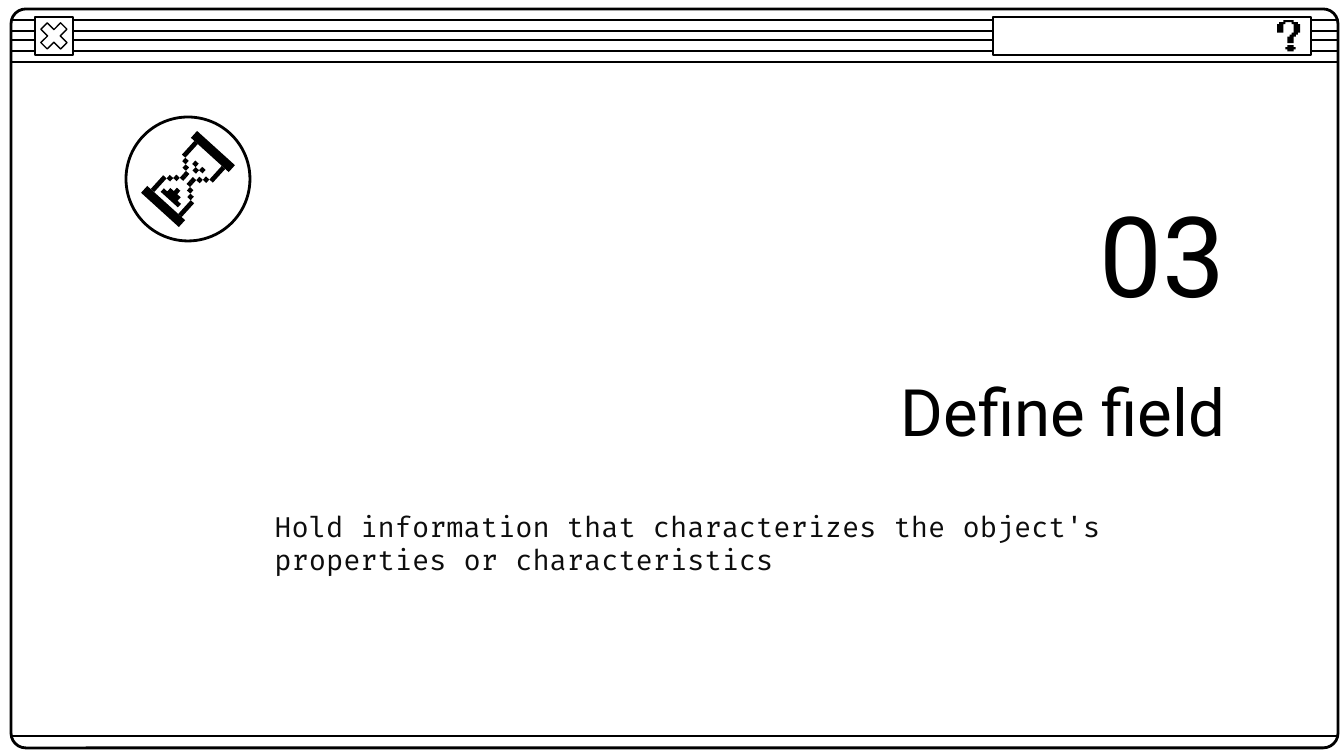
import math
from pptx import Presentation
from pptx import util as u
from pptx.dml.color import RGBColor
from pptx.enum import shapes, text
from pptx.oxml.ns import qn
from lxml import etree

PX = 914400 / 134.4
BLACK, WHITE, INK = "000000", "FFFFFF", "0D0D0D"


def rgb(value):
    return RGBColor.from_string(value)


def pixel_shape(points, origin, cell, fill, angle=0):
    """Draw grid points as an outline, turned about the grid origin."""
    pts = [(x * cell * PX, y * cell * PX) for x, y in points]
    fb = s.shapes.build_freeform(*pts[0], scale=1.0)
    fb.add_line_segments(pts[1:], close=True)
    sp = fb.convert_to_shape()
    xs, ys = zip(*pts)
    cx, cy = (min(xs) + max(xs)) / 2, (min(ys) + max(ys)) / 2
    cos, sin = math.cos(math.radians(angle)), math.sin(math.radians(angle))
    sp.left = round(origin[0] * PX + cx * cos - cy * sin - sp.width / 2)
    sp.top = round(origin[1] * PX + cx * sin + cy * cos - sp.height / 2)
    sp.rotation = angle
    sp.fill.solid()
    sp.fill.fore_color.rgb = rgb(fill)
    sp.line.fill.background()
    sp.shadow.inherit = False


prs = Presentation()
prs.slide_width, prs.slide_height = round(1344 * PX), round(756 * PX)
s = prs.slides.add_slide(prs.slide_layouts[0])

# Title bar stripes and footer rule
for y in (20, 31, 40, 51, 62, 736):
    x1, y1, x2 = (round(v * PX) for v in (11, y, 1337))
    line = s.shapes.add_connector(shapes.MSO_CONNECTOR.STRAIGHT, x1, y1, x2, y1)
    line.line.color.rgb = rgb(BLACK)
    line.line.width = u.Pt(0.75)
    etree.SubElement(line._element.spPr, qn("a:effectLst"))

# Window frame, close button, search box, icon ring
kinds = shapes.MSO_SHAPE
for kind, box, fill, weight, adj in (
    (kinds.ROUNDED_RECTANGLE, (11, 9, 1327, 739), None, 1.5, 0.02),
    (kinds.RECTANGLE, (35, 17, 38, 38), WHITE, 0.75, None),
    (kinds.MATH_MULTIPLY, (35, 17, 38, 38), WHITE, 0.75, 0.235),
    (kinds.RECTANGLE, (993, 17, 318, 38), WHITE, 0.75, None),
    (kinds.OVAL, (126, 117, 124, 124), None, 1.5, None),
):
    sp = s.shapes.add_shape(kind, *(round(v * PX) for v in box))
    if fill:
        sp.fill.solid()
        sp.fill.fore_color.rgb = rgb(fill)
    else:
        sp.fill.background()
    if adj:
        sp.adjustments[0] = adj
    sp.line.color.rgb = rgb(BLACK)
    sp.line.width = u.Pt(weight)
    sp.shadow.inherit = False

# Question mark on a pixel grid: dot, then hook
dot = [(5, 12), (5, 13), (4, 13), (4, 14), (5, 14), (5, 15),
       (8, 15), (8, 14), (9, 14), (9, 13), (8, 13), (8, 12)]
hook = [(3, 0), (3, 1), (1, 1), (1, 2), (0, 2), (0, 6), (3, 6), (3, 2),
        (4, 2), (4, 1), (7, 1), (7, 2), (8, 2), (8, 6), (7, 6), (7, 7),
        (6, 7), (6, 8), (5, 8), (5, 11), (8, 11), (8, 8), (9, 8), (9, 7),
        (10, 7), (10, 6), (11, 6), (11, 2), (10, 2), (10, 1), (8, 1), (8, 0)]
for outline in (dot, hook):
    pixel_shape(outline, (1277, 20), 23 / 11, BLACK)

# Hourglass on a tilted pixel grid: white glass, black blocks, sand
center, cell, tilt = (188, 179), 51 / 11, 42.2
upper = [(5.5, -9), (5.5, -7), (4.5, -7), (4.5, -3), (3.5, -3), (3.5, -2),
         (2.5, -2), (2.5, -1), (1.5, -1)]
right = upper + [(x, -y) for x, y in reversed(upper)]
glass = right + [(-x, y) for x, y in reversed(right)]
pixel_shape(glass, center, cell, WHITE, tilt)

blocks = [(0, -8, 11, 2), (0, 8, 11, 2)]
for side in (-1, 1):
    for half in (-1, 1):
        blocks.append((4 * side, 5 * half, 1, 4))
        blocks += [(n * side, (n - 0.5) * half, 1, 1) for n in (1, 2, 3)]
blocks += [(0, -2.5, 1, 1), (-1, -3.5, 1, 1), (1, -3.5, 1, 1)]
for x, y, w, h in blocks:
    corners = [(x - w / 2, y - h / 2), (x + w / 2, y - h / 2),
               (x + w / 2, y + h / 2), (x - w / 2, y + h / 2)]
    pixel_shape(corners, center, cell, BLACK, tilt)

slope = [(0.5, 3), (0.5, 4), (1.5, 4), (1.5, 5), (2.5, 5), (2.5, 6)]
sand = slope + [(-x, y) for x, y in reversed(slope)]
pixel_shape(sand, center, cell, BLACK, tilt)

# Title, section number, description
title, subtitle = s.placeholders
number = s.shapes.add_textbox(0, 0, 0, 0)
LEFT, RIGHT = text.PP_ALIGN.LEFT, text.PP_ALIGN.RIGHT
for sp, box, words, size, font, color, align in (
    (title, (261, 348, 978, 124), "Define field", 35, "Roboto", BLACK, RIGHT),
    (number, (775, 191, 464, 124), "03", 60, "Roboto", BLACK, RIGHT),
    (subtitle, (261, 520, 978, 46),
     "Hold information that characterizes the object's properties or characteristics",
     15, "Fira Code", INK, LEFT),
):
    sp.left, sp.top, sp.width, sp.height = (round(v * PX) for v in box)
    tf = sp.text_frame
    tf.word_wrap = True
    tf.auto_size = text.MSO_AUTO_SIZE.NONE
    tf.vertical_anchor = text.MSO_ANCHOR.MIDDLE
    tf.margin_left = tf.margin_right = tf.margin_top = tf.margin_bottom = u.Inches(0.1)
    p = tf.paragraphs[0]
    p.alignment = align
    p.space_before = u.Pt(0)
    r = p.add_run()
    r.text = words
    r.font.size = u.Pt(size)
    r.font.name = font
    r.font.color.rgb = rgb(color)

prs.save("out.pptx")
